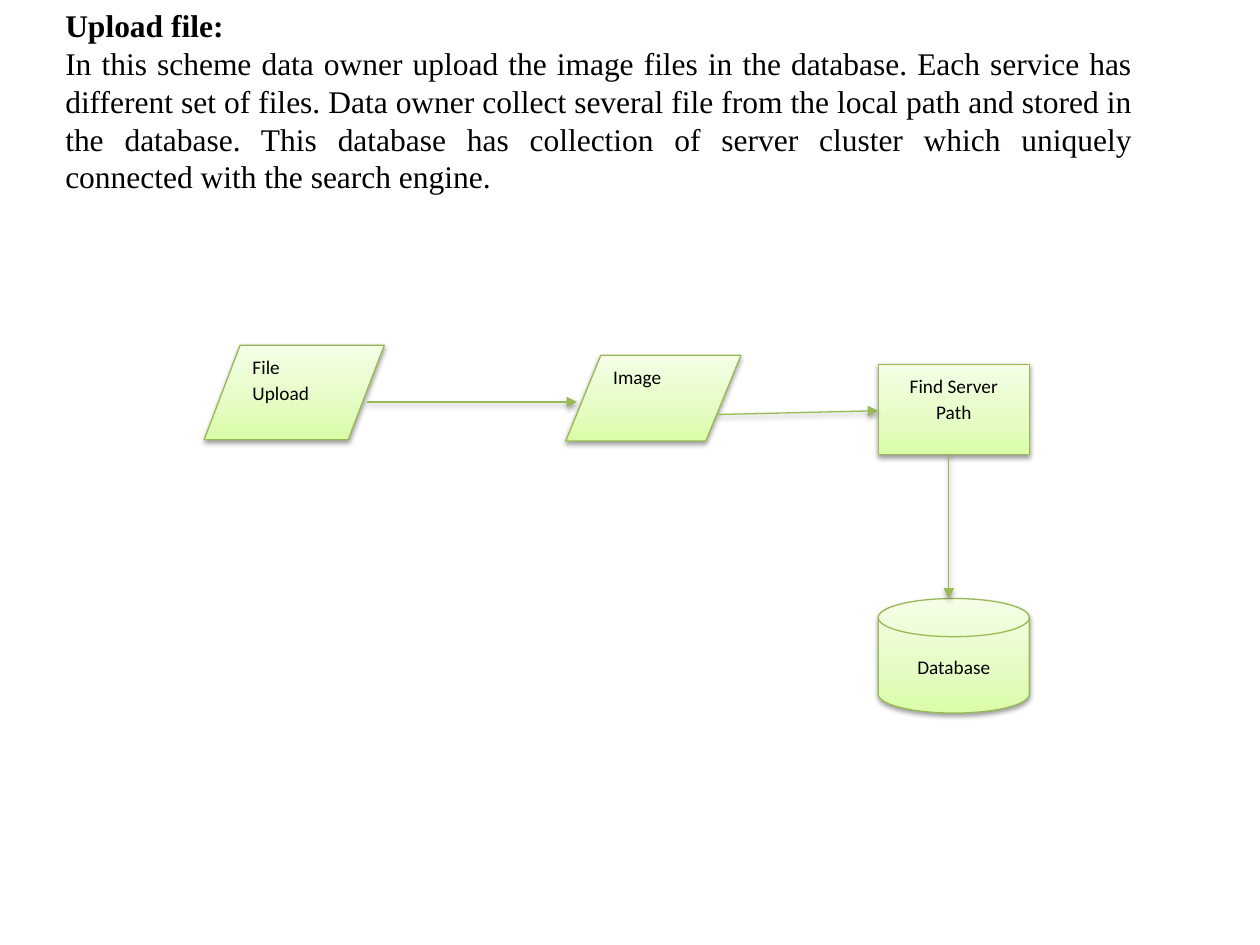
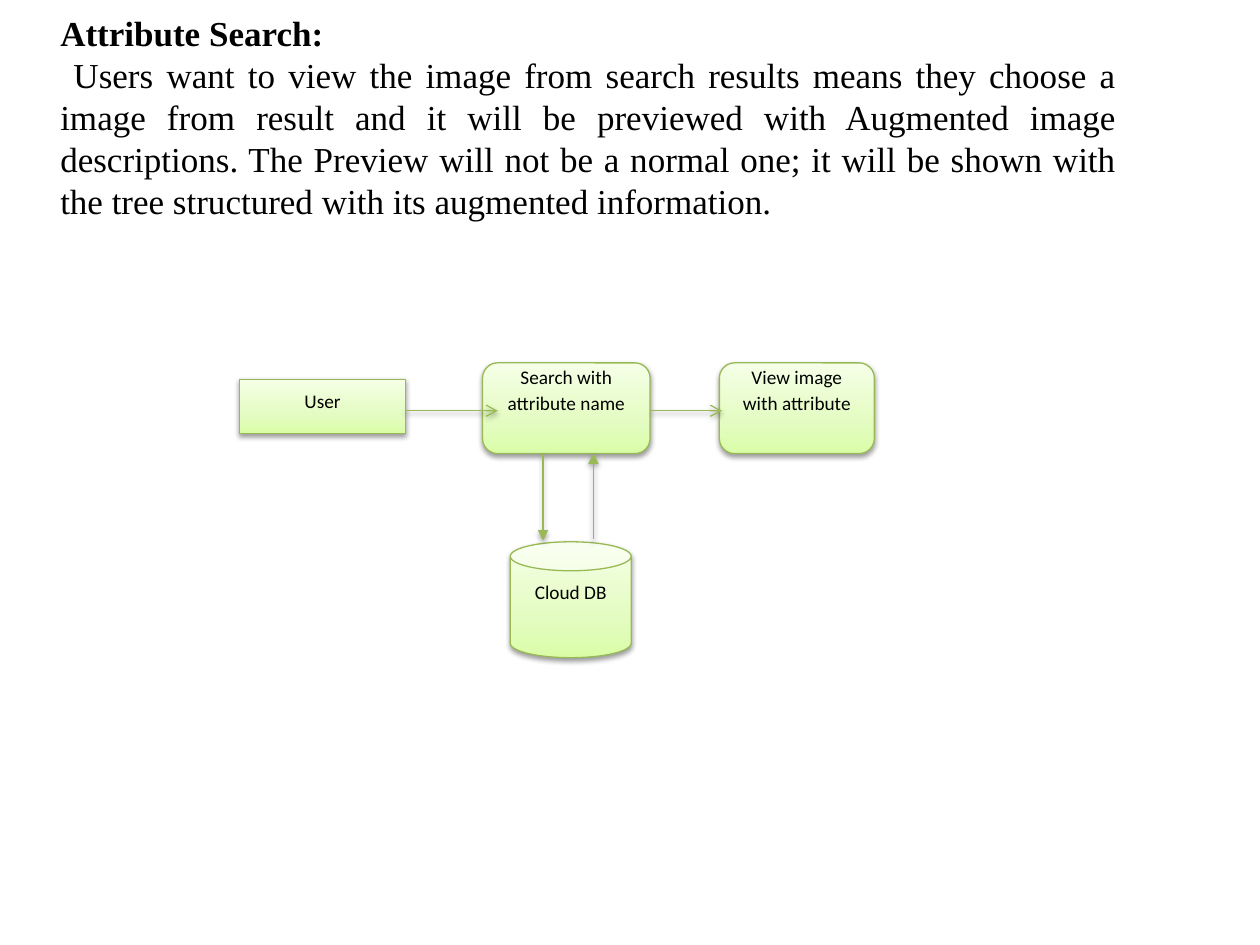
import copy
import pptx
import pptx.util
import pptx.dml.color
import pptx.enum.dml
import pptx.enum.shapes
import pptx.enum.text
import pptx.oxml
import pptx.oxml.ns

Inches, Pt = pptx.util.Inches, pptx.util.Pt
RGBColor = pptx.dml.color.RGBColor
qn = pptx.oxml.ns.qn
GEOMETRY = pptx.enum.shapes.MSO_SHAPE
ALIGN = pptx.enum.text.PP_ALIGN
ANCHOR = pptx.enum.text.MSO_ANCHOR

BLACK = RGBColor(0x00, 0x00, 0x00)
WHITE = RGBColor(0xFF, 0xFF, 0xFF)
GREEN_LINE = RGBColor(0x98, 0xB9, 0x55)
GREEN_GRADIENT = [
    (0, RGBColor(0xDA, 0xFD, 0xA7)),
    (0.35, RGBColor(0xE4, 0xFC, 0xC2)),
    (1, RGBColor(0xF5, 0xFF, 0xE7)),
]
PROSE_FONT, NODE_FONT = "Times New Roman", "Calibri"
LINE_WIDTH = Pt(0.75)

# Nodes start with geometry, label and (left, top, width, height) in inches.
# Arrows are (start, end, head style).
CENTERED = dict(align=ALIGN.CENTER)
MIDDLE = dict(align=ALIGN.CENTER, anchor=ANCHOR.MIDDLE)
RAISED = dict(MIDDLE, bottom_inset=0.37)

SLIDES = [
    dict(
        heading="Upload file:",
        body="In this scheme data owner upload the image files in the database. "
             "Each service has different set of files. Data owner collect several "
             "file from the local path and stored in the database. This database "
             "has collection of server cluster which uniquely connected with the "
             "search engine.",
        prose_box=(0.42, 0, 8.67, 1.62),
        prose_size=18,
        nodes=[
            (GEOMETRY.FLOWCHART_DATA, "Image", (4.49, 2.82, 1.39, 0.68), {}),
            (GEOMETRY.RECTANGLE, "Find Server Path", (6.97, 2.89, 1.2, 0.72), CENTERED),
            (GEOMETRY.FLOWCHART_DATA, "File Upload", (1.62, 2.74, 1.43, 0.75), {}),
            (GEOMETRY.FLOWCHART_MAGNETIC_DISK, "Database", (6.97, 4.75, 1.2, 0.91), MIDDLE),
        ],
        arrows=[
            ((2.91, 3.19), (4.58, 3.19), "triangle"),
            ((5.7, 3.29), (6.97, 3.26), "triangle"),
            ((7.53, 3.6), (7.53, 4.75), "triangle"),
        ],
    ),
    dict(
        heading="Attribute Search:",
        body=" Users want to view the image from search results means they choose "
             "a image from result and it will be previewed with Augmented image "
             "descriptions. The Preview will not be a normal one; it will be shown "
             "with the tree structured with its augmented information.",
        prose_box=(0.38, 0.04, 8.58, 1.78),
        prose_size=20,
        nodes=[
            (GEOMETRY.RECTANGLE, "User", (1.9, 3.01, 1.32, 0.43), CENTERED),
            (GEOMETRY.CAN, "Cloud DB", (4.05, 4.3, 0.96, 0.92), CENTERED),
            (GEOMETRY.ROUNDED_RECTANGLE, "Search with attribute name",
             (3.83, 2.88, 1.33, 0.72), RAISED),
            (GEOMETRY.ROUNDED_RECTANGLE, "View image with attribute",
             (5.71, 2.88, 1.23, 0.72), RAISED),
        ],
        arrows=[
            ((4.31, 3.6), (4.31, 4.29), "triangle"),
            ((4.71, 4.28), (4.71, 3.6), "triangle"),
            ((3.22, 3.26), (3.95, 3.26), "arrow"),
            ((5.17, 3.26), (5.73, 3.26), "arrow"),
        ],
    ),
]


def write_text(frame, text, *, font, size, bold=False, align=ALIGN.LEFT,
               line_spacing=None, space_after=None):
    """Fill the frame's empty first paragraph, or add one after it."""
    paragraph = frame.paragraphs[0] if not frame.text else frame.add_paragraph()
    paragraph.alignment = align
    paragraph.line_spacing = line_spacing
    paragraph.space_after = space_after
    run = paragraph.add_run()
    run.text = text
    run.font.name, run.font.size, run.font.bold = font, Pt(size), bold
    run.font.color.rgb = BLACK


def add_soft_shadow(properties):
    effects = properties.find(qn("a:effectLst"))
    if effects is None:
        effects = properties.makeelement(qn("a:effectLst"), {})
        properties.append(effects)
    effects.append(pptx.oxml.parse_xml(
        f'<a:outerShdw {pptx.oxml.ns.nsdecls("a")} blurRad="{Pt(3.1)}" '
        f'dist="{Pt(1.6)}" dir="5400000" rotWithShape="0">'
        '<a:srgbClr val="000000"><a:alpha val="38000"/></a:srgbClr></a:outerShdw>'))


def fill_with_gradient(shape):
    shape.fill.gradient()
    shape.fill.gradient_angle = 90
    stop_list = next(shape._element.spPr.iter(qn("a:gsLst")))
    stop_list.append(copy.deepcopy(stop_list[0]))
    for stop, (position, color) in zip(shape.fill.gradient_stops, GREEN_GRADIENT):
        stop.position = position
        stop.color.rgb = color


def add_prose(slide, heading, body, box, size):
    frame = slide.shapes.add_textbox(*map(Inches, box)).text_frame
    frame.word_wrap = True
    frame.auto_size = pptx.enum.text.MSO_AUTO_SIZE.SHAPE_TO_FIT_TEXT
    for text, bold in ((heading, True), (body, False)):
        write_text(frame, text, font=PROSE_FONT, size=size, bold=bold,
                   align=ALIGN.JUSTIFY)


def add_node(slide, geometry, label, box, align=ALIGN.LEFT, anchor=ANCHOR.TOP,
             bottom_inset=0.05):
    node = slide.shapes.add_shape(geometry, *map(Inches, box))
    fill_with_gradient(node)
    node.line.color.rgb = GREEN_LINE
    node.line.width = LINE_WIDTH
    node.shadow.inherit = False
    add_soft_shadow(node._element.spPr)
    frame = node.text_frame
    frame.word_wrap = True
    frame.vertical_anchor = anchor
    frame.margin_bottom = Inches(bottom_inset)
    write_text(frame, label, font=NODE_FONT, size=11, align=align,
               line_spacing=1.15, space_after=Pt(10))


def add_arrow(slide, start, end, head):
    arrow = slide.shapes.add_connector(
        pptx.enum.shapes.MSO_CONNECTOR.STRAIGHT, *map(Inches, start + end))
    arrow.line.color.rgb = GREEN_LINE
    arrow.line.width = LINE_WIDTH
    outline = arrow.line._get_or_add_ln()
    outline.append(outline.makeelement(qn("a:tailEnd"), {"type": head}))
    add_soft_shadow(arrow._element.spPr)


def main():
    deck = pptx.Presentation()
    deck.slide_width, deck.slide_height = Inches(10), Inches(7.5)
    for content in SLIDES:
        slide = deck.slides.add_slide(deck.slide_layouts[6])
        slide.background.fill.solid()
        slide.background.fill.fore_color.rgb = WHITE
        add_prose(slide, content["heading"], content["body"],
                  content["prose_box"], content["prose_size"])
        for geometry, label, box, placement in content["nodes"]:
            add_node(slide, geometry, label, box, **placement)
        for start, end, head in content["arrows"]:
            add_arrow(slide, start, end, head)
    deck.save("out.pptx")


if __name__ == "__main__":
    main()
